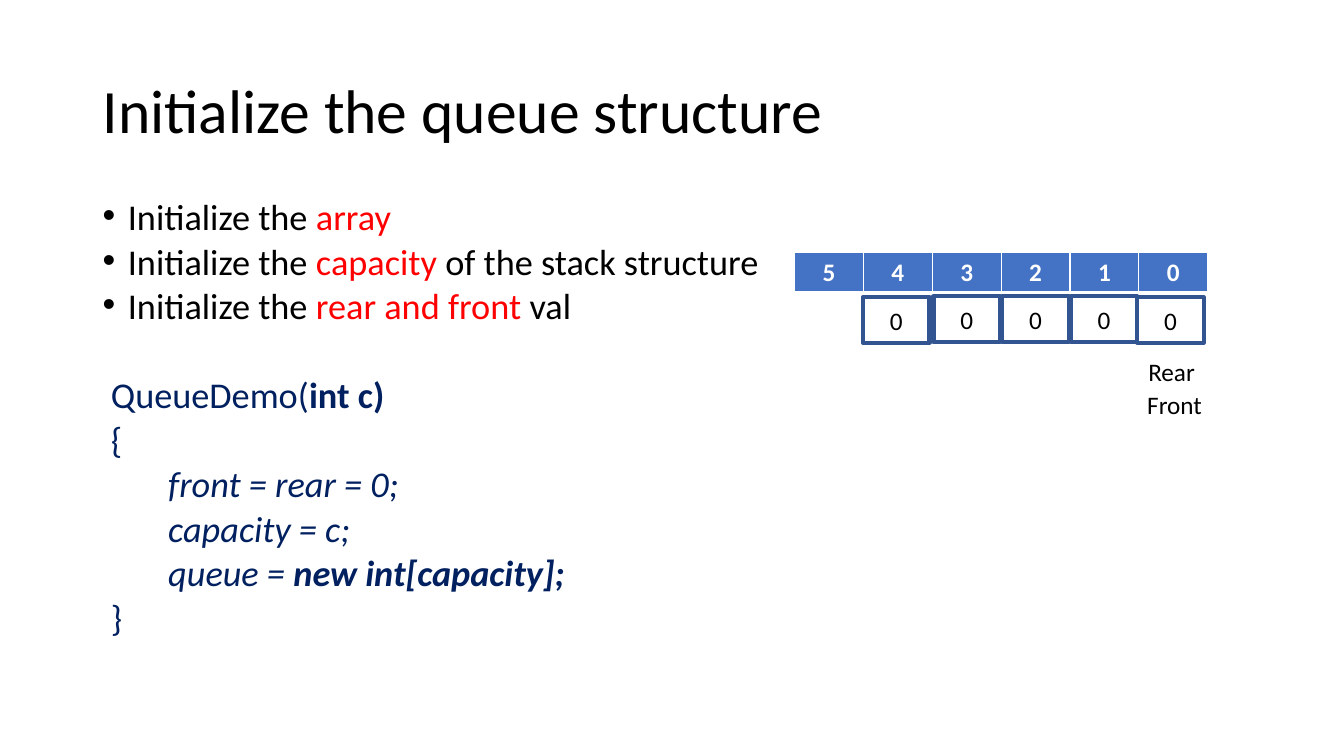
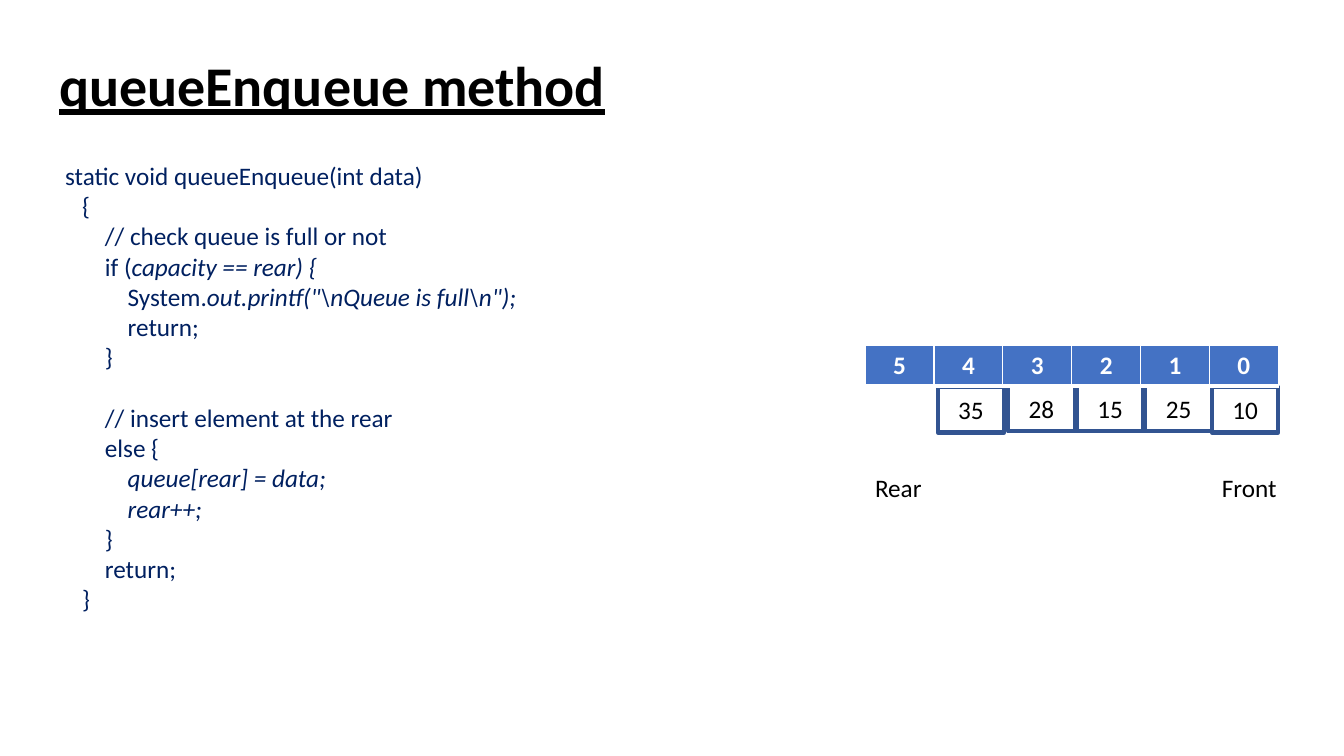
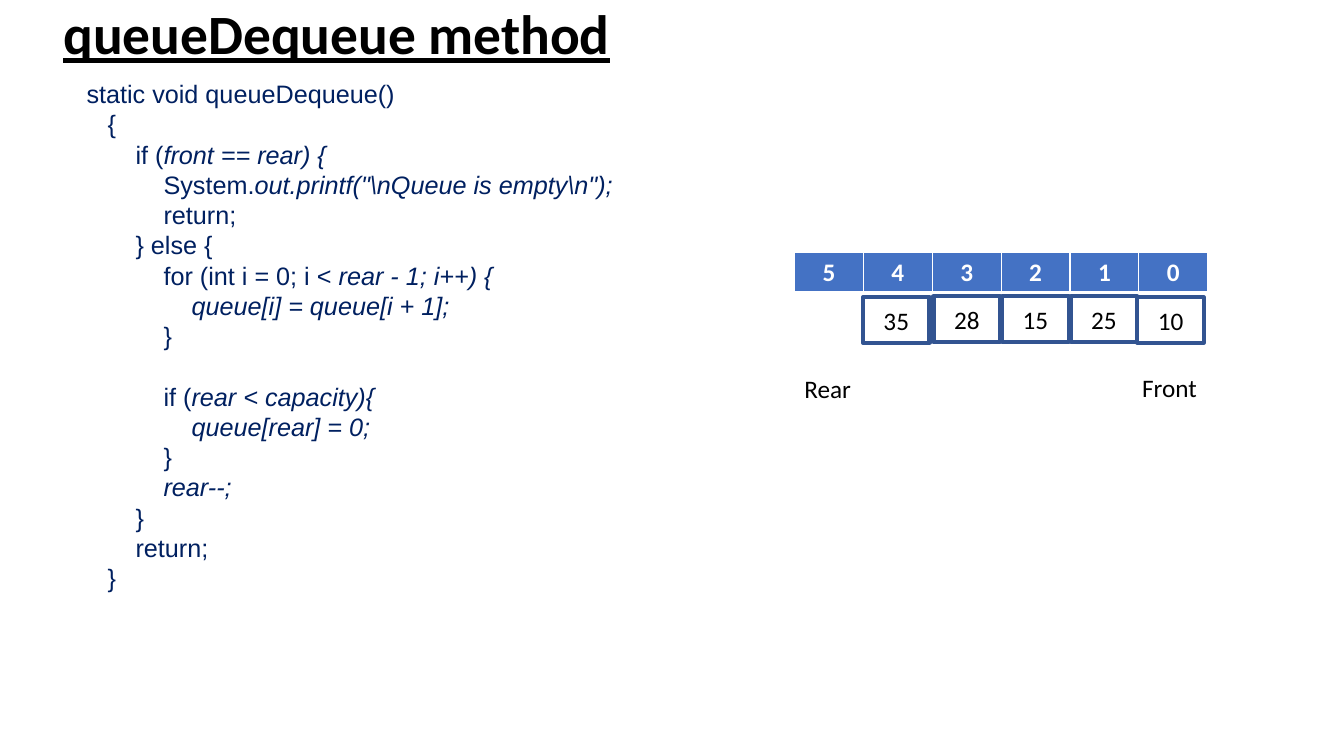
import pptx
import pptx.util
import pptx.dml.color
import pptx.enum.shapes
import pptx.enum.text
import pptx.oxml
import pptx.oxml.ns

RGB = pptx.dml.color.RGBColor
BLACK = RGB(0x00, 0x00, 0x00)
WHITE = RGB(0xFF, 0xFF, 0xFF)
RED = RGB(0xFF, 0x00, 0x00)
NAVY = RGB(0x00, 0x20, 0x60)
BLUE = RGB(0x44, 0x72, 0xC4)
EDGE = RGB(0x32, 0x54, 0x91)

ALIGN = pptx.enum.text.PP_ALIGN
ANCHOR = pptx.enum.text.MSO_ANCHOR
Pt = pptx.util.Pt

SCALE = 9144                        # EMU in one px, 100 px to the inch
CELL = (66, 45)
STEPS = (0, 70, 138, 206, 272)      # left edges of the value cells
COLUMN, ROW = 68, 40
PITCH = 21.6                        # line height of code, in points


def px(*sizes):
    return [round(size * SCALE) for size in sizes]


def say(frame, *runs, size=18, font="Calibri", color=BLACK, bold=False,
        italic=False, under=False, align=None, spacing=None, before=0,
        indent=0, bullet=None):
    """Add one paragraph; a run is a string or (string, own format)."""
    line = frame.paragraphs[0]
    if line.runs:
        line = frame.add_paragraph()
    line.alignment = align
    line.line_spacing = spacing
    line.space_before = Pt(before)
    props = line._p.get_or_add_pPr()
    props.set("marL", str(px(indent)[0]))
    props.set("indent", str(px(-indent if bullet else 0)[0]))
    if bullet:
        mark = pptx.oxml.ns.qn("a:buFont")
        props.makeelement(mark)
        for tag, key, value in (("a:buFont", "typeface", "Arial"),
                                ("a:buChar", "char", bullet)):
            node = props.makeelement(pptx.oxml.ns.qn(tag))
            node.set(key, value)
            props.append(node)
    for item in runs:
        words, own = (item, {}) if isinstance(item, str) else item
        run = line.add_run()
        run.text = words
        run.font.name = font
        run.font.size = Pt(size)
        run.font.bold = own.get("bold", bold)
        run.font.italic = own.get("italic", italic)
        run.font.underline = under
        run.font.color.rgb = own.get("color", color)


def red(words):
    return words, {"color": RED}


def slant(words, bold=False):
    return words, {"italic": True, "bold": bold}


def area(slide, box, anchor=ANCHOR.TOP):
    frame = slide.shapes.add_textbox(*px(*box)).text_frame
    frame.word_wrap = True
    frame.vertical_anchor = anchor
    return frame


def title(slide, box, words, **style):
    say(area(slide, box, ANCHOR.MIDDLE), words, **style)


def code(frame, lines, space, gap=None, blank=PITCH, before=0, **style):
    """Write lines of (depth in spaces, runs); gap is the line set apart."""
    for index, (depth, *runs) in enumerate(lines):
        extra = blank if index == gap else 0
        say(frame, *runs, color=NAVY, indent=depth * space,
            before=before + extra, **style)


def border(cell):
    props = cell._tc.get_or_add_tcPr()
    for index, (side, width) in enumerate(
            (("lnL", 1), ("lnR", 1), ("lnT", 1), ("lnB", 3))):
        props.insert(index, pptx.oxml.parse_xml(
            f'<a:{side} {pptx.oxml.ns.nsdecls("a")} w="{Pt(width)}">'
            f'<a:solidFill><a:srgbClr val="{WHITE}"/></a:solidFill>'
            f'</a:{side}>'))


def queue(slide, left, top, values, shift, rear, front):
    """Draw index row, value cells and labels; pairs are offsets in it."""
    # Value cells; the outer two sit slightly lower
    for index, (step, value) in enumerate(zip(STEPS, values)):
        drop = 1 if index in (0, len(values) - 1) else 0
        cell = slide.shapes.add_shape(
            pptx.enum.shapes.MSO_SHAPE.RECTANGLE,
            *px(left + shift[0] + step, top + shift[1] + drop, *CELL))
        cell.shadow.inherit = False
        cell.fill.background()
        cell.line.color.rgb = EDGE
        cell.line.width = Pt(3)
        cell.text_frame.vertical_anchor = ANCHOR.MIDDLE
        say(cell.text_frame, str(value), align=ALIGN.CENTER)
    # Pointer labels
    for words, (across, down), width in (("Front", front, 75),
                                         ("Rear", rear, 88)):
        say(area(slide, (left + across, top + down, width, 40)), words)
    # Index row
    count = len(values) + 1
    table = slide.shapes.add_table(
        1, count, *px(left, top, COLUMN * count + 2, ROW)).table
    for index, column in enumerate(table.columns):
        column.width = px((COLUMN * count + 2) / count)[0]
        cell = table.cell(0, index)
        cell.fill.solid()
        cell.fill.fore_color.rgb = BLUE
        border(cell)
        say(cell.text_frame, str(count - 1 - index), color=WHITE, bold=True,
            align=ALIGN.CENTER)


def start(slide):
    title(slide, (92, 40, 1150, 145), "Initialize the queue structure",
          size=44, spacing=0.9)
    style = dict(size=25.9, spacing=0.7, before=10)
    body = area(slide, (92, 200, 1150, 476))
    for runs in (
            ("Initialize the ", red("array")),
            ("Initialize the ", red("capacity"), " of the stack structure"),
            ("Initialize the ", red("rear and front "), "val")):
        say(body, *runs, indent=25, bullet="•", **style)
    code(body, (
        (1, "QueueDemo(", ("int c)", {"bold": True})),
        (1, "{"),
        (8, slant("front = rear = 0;")),
        (8, slant("capacity = c;")),
        (8, slant("queue = "), slant("new int[capacity];", bold=True)),
        (1, "}"),
    ), space=8.13, gap=0, blank=31.8, **style)
    queue(slide, 788, 250, [0] * 5, (68, 44), (341, 99), (340, 131))


def enqueue(slide):
    title(slide, (49, 45, 567, 77), "queueEnqueue method",
          size=40, bold=True, under=True)
    code(area(slide, (49, 154, 595, 495)), (
        (1, "static void queueEnqueue(int data)"),
        (4, "{"),
        (8, "// check queue is full or not"),
        (8, "if (", slant("capacity == rear) {")),
        (12, "System.", slant('out.printf("\\nQueue is full\\n");')),
        (12, "return;"),
        (8, "}"),
        (8, "// insert element at the rear"),
        (8, "else {"),
        (12, slant("queue[rear] = data;")),
        (12, slant("rear++;")),
        (8, "}"),
        (8, "return;"),
        (4, "}"),
    ), space=5.65, gap=7, spacing=Pt(PITCH))
    queue(slide, 858, 343, (35, 28, 15, 25, 10), (72, 40),
          (0, 121), (344, 121))


def dequeue(slide):
    title(slide, (53, 0, 1150, 73), "queueDequeue method",
          size=39.6, bold=True, under=True, spacing=0.9)
    code(area(slide, (69, 73, 621, 525)), (
        (1, "static void queueDequeue()"),
        (4, "{"),
        (8, "if (", slant("front == rear) {")),
        (12, "System.", slant('out.printf("\\nQueue is empty\\n");')),
        (12, "return;"),
        (8, "} else {"),
        (12, "for (int i = 0; i < ", slant("rear - 1; i++) {")),
        (16, slant("queue[i] = queue[i + 1];")),
        (12, "}"),
        (12, "if (", slant("rear < capacity){")),
        (16, slant("queue[rear] = 0;")),
        (12, "}"),
        (12, slant("rear--;")),
        (8, "}"),
        (8, "return;"),
        (4, "}"),
    ), space=6.95, gap=9, font="Arial", spacing=Pt(PITCH))
    queue(slide, 788, 250, (35, 28, 15, 25, 10), (68, 44),
          (0, 115), (335, 114))


def main():
    deck = pptx.Presentation()
    deck.slide_width, deck.slide_height = px(1333, 750)
    for build in (start, enqueue, dequeue):
        build(deck.slides.add_slide(deck.slide_layouts[6]))
    deck.save("out.pptx")


if __name__ == "__main__":
    main()
